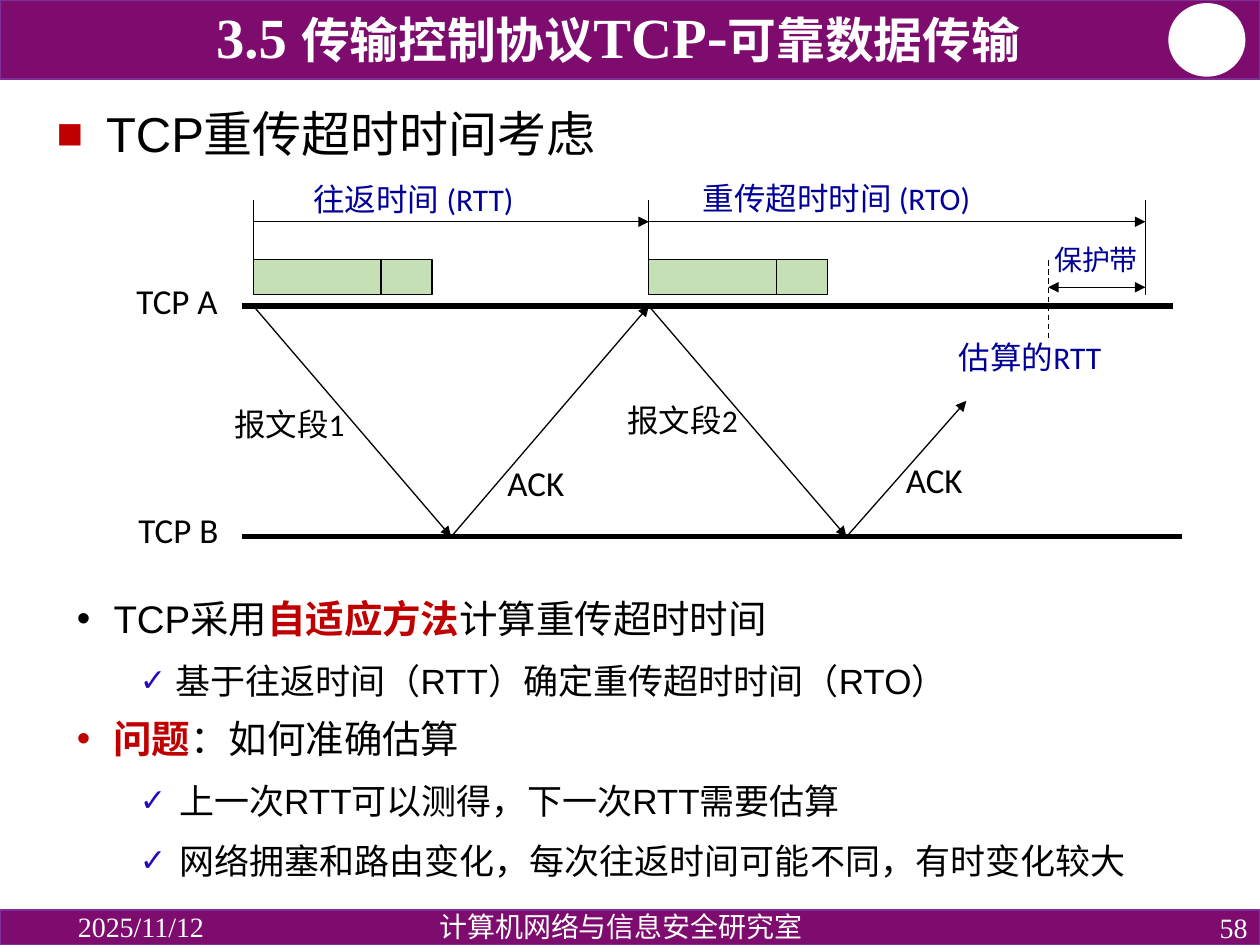
from lxml.etree import SubElement
from pptx import Presentation
from pptx.dml.color import RGBColor
from pptx.enum.dml import MSO_LINE
from pptx.enum.shapes import MSO_CONNECTOR, MSO_SHAPE
from pptx.enum.text import MSO_ANCHOR, MSO_AUTO_SIZE, PP_ALIGN
from pptx.oxml.ns import qn
from pptx.util import Cm, Pt

PURPLE = RGBColor(0x7E, 0x0C, 0x6E)
VIOLET = RGBColor(0x7F, 0x2F, 0x95)
WHITE = RGBColor(0xFF, 0xFF, 0xFF)
BLACK = RGBColor(0, 0, 0)
RED = RGBColor(0xC0, 0, 0)
NAVY = RGBColor(0, 0, 0x99)
TICK_BLUE = RGBColor(0x2A, 0x09, 0xB7)
GREEN = RGBColor(0xC5, 0xE0, 0xB4)
CJK = "Noto Sans CJK SC"


def format_span(span, size, color, font, bold=False):
    span.font.size = Pt(size)
    span.font.color.rgb = color
    span.font.name = font
    span.font.bold = bold
    SubElement(span.font._element, qn("a:ea"), typeface=CJK)


def add_box(page, left, top, width, height, anchor=MSO_ANCHOR.TOP):
    box = page.shapes.add_textbox(Cm(left), Cm(top), Cm(width), Cm(height))
    box.text_frame.word_wrap = True
    box.text_frame.vertical_anchor = anchor
    return box


def add_label(page, area, text, size, color, font="Calibri",
              align=PP_ALIGN.LEFT, anchor=MSO_ANCHOR.TOP, spacing=None):
    para = add_box(page, *area, anchor).text_frame.paragraphs[0]
    para.text = text
    para.alignment = align
    para.line_spacing = spacing
    format_span(para.runs[0], size, color, font)


def add_block(page, kind, area, fill, line, width):
    block = page.shapes.add_shape(kind, *map(Cm, area))
    block.shadow.inherit = False
    block.fill.solid()
    block.fill.fore_color.rgb = fill
    block.line.color.rgb = line
    block.line.width = Pt(width)


def add_line(page, start, end, width=0.75, arrows=(), dashed=False):
    """Draw a black line; arrows names the ends ("headEnd", "tailEnd") that are pointed."""
    line = page.shapes.add_connector(MSO_CONNECTOR.STRAIGHT, *map(Cm, (*start, *end)))
    line.line.color.rgb = BLACK
    line.line.width = Pt(width)
    if dashed:
        line.line.dash_style = MSO_LINE.DASH
    properties = line._element.spPr
    for arrow in arrows:
        SubElement(properties.find(qn("a:ln")), qn(f"a:{arrow}"), type="triangle")
    SubElement(properties, qn("a:effectLst"))


def add_bullet(para, char, margin, indent, color=None, size=None):
    """Give the paragraph a hanging bullet; size is a percentage of the text."""
    properties = para._p.get_or_add_pPr()
    properties.set("marL", str(Cm(margin)))
    properties.set("indent", str(-Cm(indent)))
    if color is not None:
        SubElement(SubElement(properties, qn("a:buClr")), qn("a:srgbClr"), val=str(color))
    if size:
        SubElement(properties, qn("a:buSzPct"), val=str(size * 1000))
    SubElement(properties, qn("a:buFont"), typeface="Arial")
    SubElement(properties, qn("a:buChar"), char=char)


def add_header(page, left, top, width, height):
    add_block(page, MSO_SHAPE.RECTANGLE, (left, top, width, height), PURPLE, VIOLET, 1)
    add_block(page, MSO_SHAPE.OVAL, (left + 23.57, top + 0.08, 1.52, 1.45), WHITE, WHITE, 1)
    title = page.shapes.title
    title.left, title.top = Cm(left + 1.96), Cm(top + 0.1)
    title.width, title.height = Cm(21), Cm(1.42)
    frame = title.text_frame
    frame.auto_size = MSO_AUTO_SIZE.NONE
    frame.vertical_anchor = MSO_ANCHOR.BOTTOM
    para = frame.paragraphs[0]
    para.alignment = PP_ALIGN.CENTER
    para.line_spacing = 0.7
    for text, size in (("3.5 ", 32.4), ("传输控制协议", 27.9), ("TCP", 32.4),
                       ("-", 36), ("可靠数据传输", 27.9)):
        span = para.add_run()
        span.text = text
        format_span(span, size, WHITE, "Times New Roman", True)
    # The title placeholder goes in front of the band.
    title._element.getparent().append(title._element)


def add_footer(page, left, top, width, height):
    add_block(page, MSO_SHAPE.RECTANGLE, (left, top, width, height), PURPLE, VIOLET, 1)
    style = {"size": 16, "color": WHITE, "font": "Times New Roman"}
    add_label(page, (left + 1.32, top, 5.72, 0.66), "2025/11/12",
              anchor=MSO_ANCHOR.MIDDLE, **style)
    add_label(page, (left + width - 5.72, top, 5.72, height), "58",
              align=PP_ALIGN.RIGHT, anchor=MSO_ANCHOR.MIDDLE, **style)
    add_label(page, (left + 6.83, top - 0.05, 11.38, 0.71), "计算机网络与信息安全研究室",
              align=PP_ALIGN.CENTER, spacing=0.9, **style)


def add_heading(page, left, top, width, height):
    para = add_box(page, left, top, width, height, MSO_ANCHOR.MIDDLE).text_frame.paragraphs[0]
    para.text = "TCP重传超时时间考虑"
    para.line_spacing = 0.9
    add_bullet(para, "■", 1, 1, RED, 90)
    format_span(para.runs[0], 28, BLACK, "Arial")


def add_timing_diagram(page, left, top):
    def at(x, y):
        return left + x, top + y

    send, resend, timeout, estimate = 2.61, 10.58, 20.59, 18.63
    half_trip = (resend - send) / 2
    side_a, side_b, span_y, tick_y = 2.67, 7.32, 0.97, 0.54
    segment_top, segment_bottom, guard_y = 1.73, 2.44, 2.29

    for y, end in ((side_a, 21.15), (side_b, 21.33)):
        add_line(page, at(2.38, y), at(end, y), 3)

    for x, ack_end in ((send, (resend, side_a)), (resend, (16.98, 4.58))):
        add_block(page, MSO_SHAPE.RECTANGLE,
                  (*at(x, segment_top), 3.6, segment_bottom - segment_top), GREEN, BLACK, 0.75)
        add_line(page, at(x + 2.57, segment_top), at(x + 2.57, segment_bottom))
        arrival = at(x + half_trip, side_b)
        add_line(page, at(x, side_a), arrival, arrows=["tailEnd"])
        add_line(page, arrival, at(*ack_end), arrows=["tailEnd"])

    for x, bottom in ((send, 1.81), (resend, segment_bottom), (timeout, segment_bottom)):
        add_line(page, at(x, bottom), at(x, tick_y))
    for start, end in ((send, resend), (resend, timeout)):
        add_line(page, at(start, span_y), at(end, span_y), arrows=["tailEnd"])
    add_line(page, at(estimate, 3.31), at(estimate, segment_top), dashed=True)
    add_line(page, at(estimate, guard_y), at(timeout, guard_y), arrows=["headEnd", "tailEnd"])

    for text, x, y, width, size, color in (
            ("TCP A", 0, 2.01, 2.16, 20, BLACK),
            ("TCP B", 0.04, 6.63, 2.14, 20, BLACK),
            ("ACK", 7.48, 5.67, 1.68, 20, BLACK),
            ("ACK", 15.51, 5.62, 1.68, 20, BLACK),
            ("报文段1", 1.97, 4.55, 2.77, 18, BLACK),
            ("报文段2", 9.9, 4.45, 2.77, 18, BLACK),
            ("往返时间 (RTT)", 3.57, 0.01, 4.6, 18, NAVY),
            ("重传超时时间 (RTO)", 11.42, -0.02, 5.97, 18, NAVY),
            ("估算的RTT", 16.58, 3.18, 3.4, 18, NAVY)):
        add_label(page, (*at(x, y), width, 1.02), text, size, color)
    add_label(page, (*at(18.35, 1.4), 2.49, 0.81), "保护带", 16, NAVY,
              align=PP_ALIGN.CENTER, spacing=0.8)


def add_points(page, left, top, width, height):
    """Each point is a level, a text margin, a hanging indent and its (text, is_key) spans."""
    points = (
        (0, 0.74, 0.74, [("TCP采用", False), ("自适应方法", True), ("计算重传超时时间", False)]),
        (1, 1.98, 0.71, [("基于往返时间（RTT）确定重传超时时间（RTO）", False)]),
        (0, 0.74, 0.74, [("问题", True), ("：如何准确估算", False)]),
        (1, 2.06, 0.79, [("上一次RTT可以测得，下一次RTT需要估算", False)]),
        (1, 2.06, 0.79, [("网络拥塞和路由变化，每次往返时间可能不同，有时变化较大", False)]),
    )
    frame = add_box(page, left, top, width, height).text_frame
    for index, (level, margin, indent, spans) in enumerate(points):
        para = frame.add_paragraph() if index else frame.paragraphs[0]
        para.level = level
        para.line_spacing = Pt(28)
        if index:
            para.space_before = Pt(6.4)
        if level:
            add_bullet(para, "✓", margin, indent, TICK_BLUE, 90)
        else:
            add_bullet(para, "•", margin, indent)
        for text, is_key in spans:
            span = para.add_run()
            span.text = text
            format_span(span, 20 if level else 22, RED if is_key else BLACK,
                        CJK if is_key else "Arial", is_key)


def main():
    deck = Presentation()
    deck.slide_width, deck.slide_height = Cm(25.4), Cm(19.05)
    page = deck.slides.add_slide(deck.slide_layouts[5])
    add_header(page, 0, 0, 25.4, 1.6)
    add_footer(page, 0, 18.34, 25.4, 0.71)
    add_timing_diagram(page, 2.5, 3.5)
    add_heading(page, 0.89, 1.73, 23.8, 2.03)
    add_points(page, 1.3, 11.81, 22.53, 6.2)
    deck.save("out.pptx")


if __name__ == "__main__":
    main()
